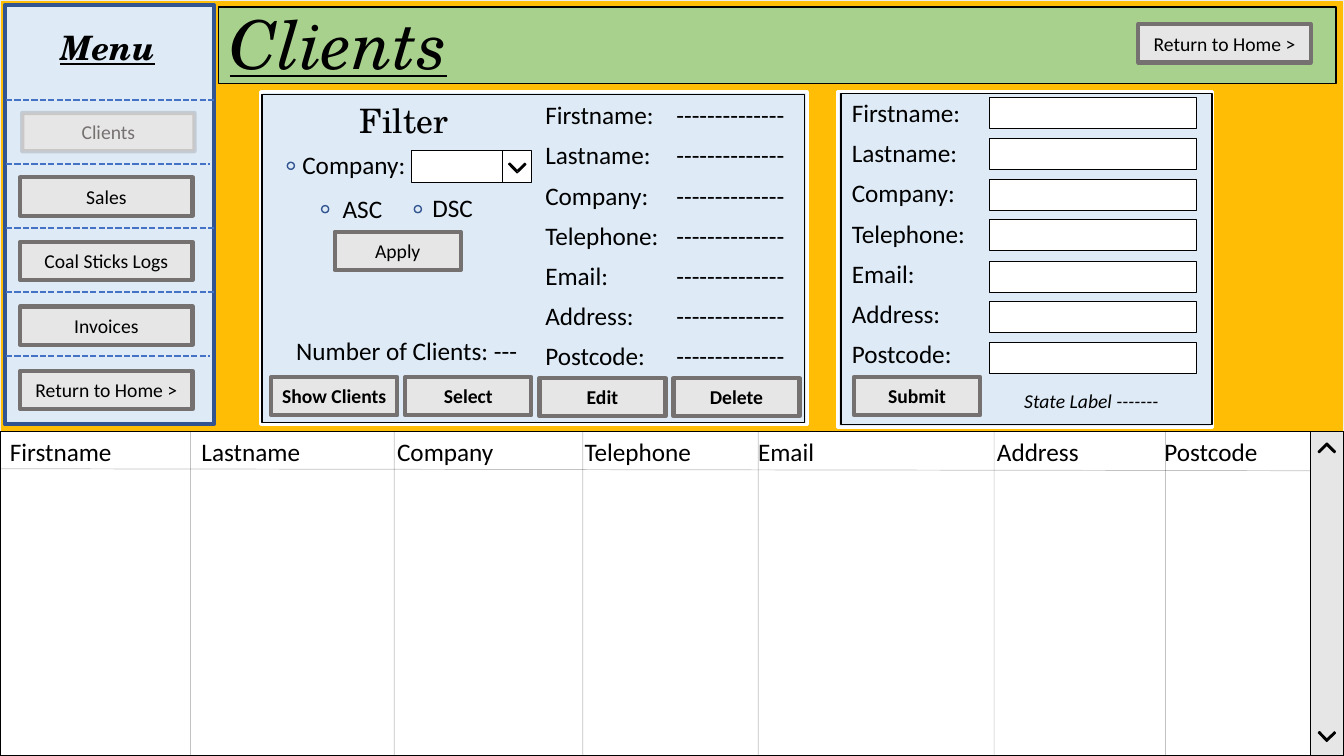
from lxml.etree import SubElement
from pptx import Presentation
from pptx.dml.color import RGBColor
from pptx.enum.dml import MSO_LINE_DASH_STYLE as DASH
from pptx.enum.shapes import MSO_CONNECTOR as CONNECTOR, MSO_SHAPE as SHAPE
from pptx.enum.text import MSO_ANCHOR as ANCHOR, PP_ALIGN as ALIGN
from pptx.oxml.ns import qn
from pptx.util import Emu, Pt

EMU_PER_PX = 9144
COLORS = {
    "amber": "FFBE05", "green": "A9D18E", "pale": "DEEBF7", "white": "FFFFFF",
    "black": "000000", "button": "E7E6E6", "border": "767171",
    "navy": "325491", "blue": "4472C4", "frame": "EDEDED",
}
BODY, DISPLAY = "Calibri", "TeX Gyre Schola"
FIELDS = ["Firstname", "Lastname", "Company", "Telephone", "Email", "Address", "Postcode"]
COLUMN_LINES = [189, 391, 578, 752, 986, 1156]
COLUMN_TABS = [190, 384, 570, 742, 979, 1145]


def px(n):
    return Emu(n * EMU_PER_PX)


def rgb(name):
    return RGBColor.from_string(COLORS[name])


def set_alpha(sp, percent):
    color = sp._element.spPr.find(qn("a:ln")).find(".//" + qn("a:srgbClr"))
    SubElement(color, qn("a:alpha")).set("val", str(percent * 1000))


def add_box(shapes, x, y, w, h, fill=None, line=None, width=1, kind=SHAPE.RECTANGLE):
    sp = shapes.add_shape(kind, px(x), px(y), px(w), px(h))
    sp.shadow.inherit = False
    if fill:
        sp.fill.solid()
        sp.fill.fore_color.rgb = rgb(fill)
    else:
        sp.fill.background()
    if line:
        sp.line.color.rgb = rgb(line)
        sp.line.width = Pt(width)
    else:
        sp.line.fill.background()
    return sp


def add_line(shapes, x1, y1, x2, y2, color="black", width=0.5, dash=None, alpha=None):
    cx = shapes.add_connector(CONNECTOR.STRAIGHT, px(x1), px(y1), px(x2), px(y2))
    cx.line.color.rgb = rgb(color)
    cx.line.width = Pt(width)
    if dash:
        cx.line.dash_style = dash
    if alpha:
        set_alpha(cx, alpha)
    SubElement(cx._element.spPr, qn("a:effectLst"))


def style(p, size, font=BODY, color="black", bold=False, italic=False, underline=False):
    p.font.size = Pt(size)
    p.font.name = font
    p.font.color.rgb = rgb(color)
    p.font.bold, p.font.italic, p.font.underline = bold, italic, underline


def add_text(shapes, x, y, w, h, lines, size=18, fill=None, tabs=(), spaced=False, **font):
    sp = shapes.add_textbox(px(x), px(y), px(w), px(h))
    if fill:
        sp.fill.solid()
        sp.fill.fore_color.rgb = rgb(fill)
    tf = sp.text_frame
    tf.word_wrap = True
    tf.text = "\n".join(lines)
    for p in tf.paragraphs:
        if spaced:
            p.line_spacing, p.space_after = Pt(21.6), Pt(7)
        if tabs:
            tab_list = SubElement(p._p.get_or_add_pPr(), qn("a:tabLst"))
            for stop in tabs:
                tab = SubElement(tab_list, qn("a:tab"))
                tab.set("pos", str(px(stop)))
                tab.set("algn", "l")
        style(p, size, **font)


def add_button(shapes, x, y, w, label, bold=False, enabled=True):
    sp = add_box(shapes, x, y, w, 38, "button", "border", 3)
    if not enabled:
        set_alpha(sp, 25)
    tf = sp.text_frame
    tf.margin_left = tf.margin_right = px(2)
    tf.vertical_anchor = ANCHOR.MIDDLE
    tf.text = label
    p = tf.paragraphs[0]
    p.alignment = ALIGN.CENTER
    style(p, 14, color="black" if enabled else "border", bold=bold)


def add_chevron(shapes, x, y, rotation, fill="black"):
    sp = add_box(shapes, x, y, 12, 12, fill, "black", kind=SHAPE.CORNER)
    sp.rotation = rotation
    sp.adjustments[0], sp.adjustments[1] = 0.12, 0.13


def add_radio(shapes, x, y):
    add_box(shapes, x, y, 7, 7, "pale", "navy", kind=SHAPE.OVAL)


def add_header(shapes):
    add_box(shapes, 217, 7, 1108, 76, "green", "black")
    add_text(shapes, 218, -3, 346, 91, ["Clients"], 48, font=DISPLAY, italic=True, underline=True)
    add_button(shapes, 1129, 24, 171, "Return to Home >")


def add_client_table(shapes):
    add_box(shapes, 0, 428, 1333, 322, "white", "black")
    add_line(shapes, 0, 465, 1300, 467, alpha=23)
    add_text(shapes, 0, 428, 1333, 40, ["\t".join(FIELDS)], tabs=COLUMN_TABS)
    for x in COLUMN_LINES:
        add_line(shapes, x, 428, x, 750, alpha=24)
    add_box(shapes, 1300, 428, 33, 322, "button", "black")
    add_chevron(shapes, 1310, 721, 316)
    add_chevron(shapes, 1310, 442, 134.6)


def add_entry_form(s):
    panel = s.shapes.add_group_shape().shapes
    add_box(panel, 831, 91, 372, 333, "pale", "white", 2)
    add_box(panel, 834, 93, 368, 328, None, "black")
    for i in range(len(FIELDS)):
        add_box(s.shapes, 981, 97 + 405 * i // 10, 206, 31, "white", "black", 0)
    add_text(s.shapes, 835, 92, 146, 288, [f + ":" for f in FIELDS], spaced=True)
    add_text(s.shapes, 1006, 381, 156, 34, ["State Label -------"], 14, italic=True)
    add_button(s.shapes, 847, 374, 125, "Submit", bold=True)


def add_filter_panel(s):
    panel = s.shapes.add_group_shape().shapes
    add_box(panel, 259, 91, 542, 330, "pale", "white", 2.5)
    add_box(panel, 260, 94, 538, 325, None, "black")
    for i, label in enumerate(["Show Clients", "Select", "Edit", "Delete"]):
        add_button(panel, 269 + 133 * i, 374 + i // 2, 125, label, bold=True)
    add_text(panel, 284, 328, 257, 40, ["Number of Clients: ---"], fill="pale")
    values = [f + ":\t--------------" for f in FIELDS]
    add_text(panel, 531, 94, 266, 285, values, tabs=[130], spaced=True)
    add_text(panel, 347, 94, 114, 51, ["Filter"], 24, font=DISPLAY)
    add_text(panel, 290, 143, 135, 41, ["Company:"], fill="pale")
    add_text(panel, 419, 186, 66, 41, ["DSC"], fill="pale")
    add_text(panel, 330, 187, 62, 41, ["ASC"], fill="pale")
    for x, y in [(285, 161), (319, 204), (411, 204)]:
        add_radio(panel, x, y)
    add_box(panel, 408, 149, 119, 32, "white", "black")
    add_line(panel, 498, 150, 498, 181)
    add_chevron(panel, 507, 157, 316, "pale")
    add_button(panel, 332, 230, 125, "Apply")


def add_menu(s):
    menu = s.shapes.add_group_shape().shapes
    add_box(menu, 5, 5, 207, 416, "pale", "navy", 3)
    add_text(menu, 50, 22, 141, 59, ["Menu"], 24, "pale",
             font=DISPLAY, bold=True, italic=True, underline=True)
    for i, right in enumerate([213, 208, 212, 213, 208]):
        y = round(99 + 63.6 * i)
        add_line(menu, 6, y, right, y, "blue", 1.5, DASH.SQUARE_DOT)
    add_button(menu, 22, 112, 171, "Clients", enabled=False)
    for i, label in enumerate(["Sales", "Coal Sticks Logs", "Invoices", "Return to Home >"]):
        add_button(menu, 20, 176 + 64 * i, 171, label)


def main():
    prs = Presentation()
    prs.slide_width, prs.slide_height = px(1333), px(750)
    s = prs.slides.add_slide(prs.slide_layouts[6])
    add_box(s.shapes, 0, 0, 1333, 750, "amber", "frame")
    add_header(s.shapes)
    add_client_table(s.shapes)
    add_entry_form(s)
    add_filter_panel(s)
    add_menu(s)
    prs.save("out.pptx")


if __name__ == "__main__":
    main()
